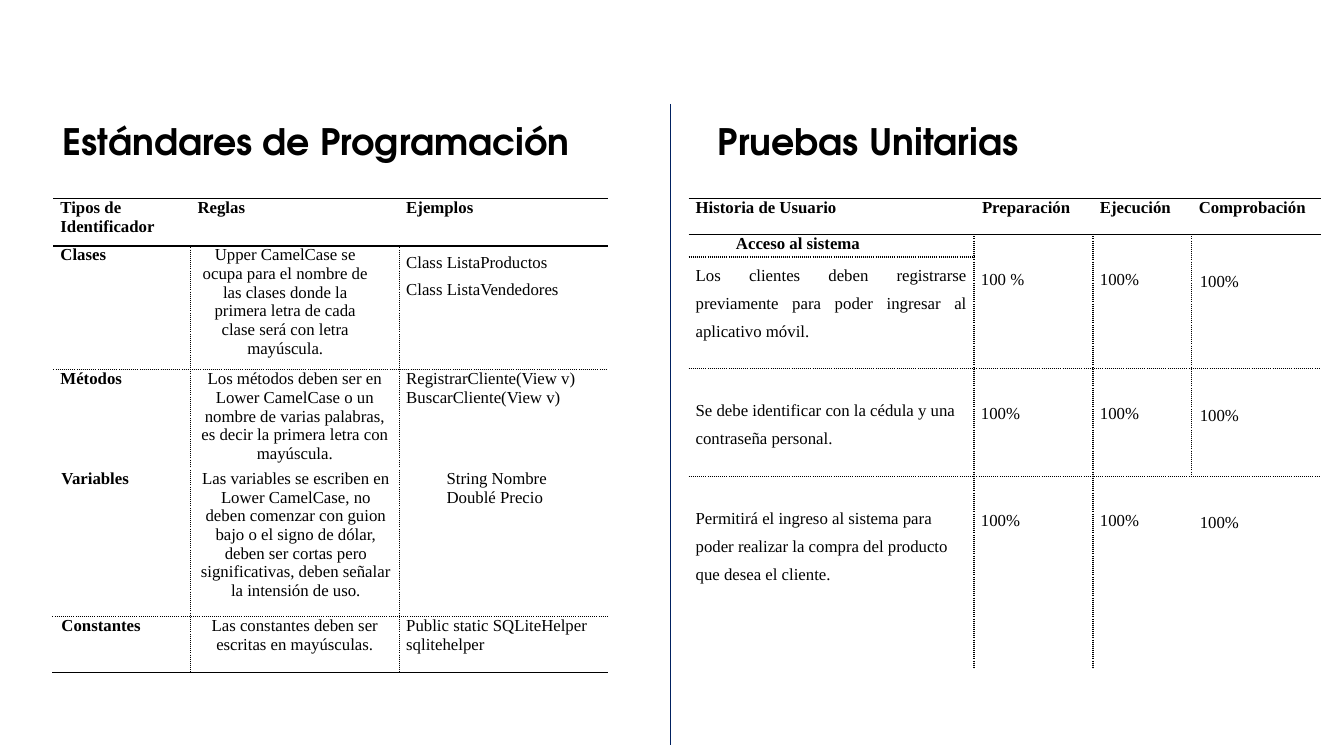
from lxml import etree
from pptx import Presentation
from pptx.dml.color import RGBColor
from pptx.enum.shapes import MSO_CONNECTOR
from pptx.enum.text import PP_ALIGN
from pptx.oxml.ns import qn
from pptx.util import Pt

PX = 9144  # 100 px to the inch
CENTER, JUSTIFY = PP_ALIGN.CENTER, PP_ALIGN.JUSTIFY
STRAIGHT = MSO_CONNECTOR.STRAIGHT
COLORS = {"text": "000000", "border": "000000", "divider": "002060"}
TITLE_FONT, TABLE_FONT = "TeX Gyre Adventor", "Times New Roman"


def style_runs(para, font, size, bold):
    for span in para.runs:
        span.font.name = font
        span.font.size = Pt(size)
        span.font.bold = bold
        span.font.color.rgb = RGBColor.from_string(COLORS["text"])


def add_border(cell, side, dash):
    """Draw one cell side (L, R, T, B) with a preset dash, or none."""
    properties = cell._tc.get_or_add_tcPr()
    line = etree.SubElement(properties, qn(f"a:ln{side}"), w=str(Pt(1)))
    if dash is None:
        etree.SubElement(line, qn("a:noFill"))
        return
    fill = etree.SubElement(line, qn("a:solidFill"))
    etree.SubElement(fill, qn("a:srgbClr"), val=COLORS["border"])
    etree.SubElement(line, qn("a:prstDash"), val=dash)


deck = Presentation()
deck.slide_width, deck.slide_height = 1333 * PX, 750 * PX
slide = deck.slides.add_slide(deck.slide_layouts[6])

BOLD = {"bold": True}
LABEL = {"bold": True, "left": 9}
STORY = {"top": 23, "spacing": 1.5}
RESULT = {"top": 35}
LAST_RESULT = {"top": 37, "left": 8}

standards = [
    [("Tipos de Identificador", BOLD), ("Reglas", BOLD), ("Ejemplos", BOLD)],
    [("Clases", BOLD),
     ("Upper CamelCase se ocupa para el nombre de las clases donde la primera "
      "letra de cada clase será con letra mayúscula.",
      {"align": CENTER, "left": 11, "right": 30}),
     ("Class ListaProductos\nClass ListaVendedores", {"spacing": 1.42})],
    [("Métodos", BOLD),
     ("Los métodos deben ser en Lower CamelCase o un nombre de varias palabras, "
      "es decir la primera letra con mayúscula.",
      {"align": CENTER, "left": 9, "right": 9}),
     ("RegistrarCliente(View v)\nBuscarCliente(View v)", {})],
]
more_standards = [
    [("Variables", LABEL),
     ("Las variables se escriben en Lower CamelCase, no deben comenzar con guion "
      "bajo o el signo de dólar, deben ser cortas pero significativas, deben "
      "señalar la intensión de uso.",
      {"align": CENTER, "left": 9, "right": 7}),
     ("String Nombre\nDoublé Precio", {"left": 47})],
    [("Constantes", LABEL),
     ("Las constantes deben ser escritas en mayúsculas.",
      {"align": CENTER, "left": 10, "right": 10}),
     ("Public static SQLiteHelper sqlitehelper", {})],
]
unit_tests = [
    [("Historia de Usuario", BOLD), ("Preparación", {"bold": True, "left": 8}),
     ("Ejecución", BOLD), ("Comprobación", BOLD)],
    [("Acceso al sistema", {"bold": True, "left": 47}),
     ("100 %", RESULT), ("100%", RESULT), ("100%", LAST_RESULT)],
    [("Los clientes deben registrarse previamente para poder ingresar al "
      "aplicativo móvil.", {"align": JUSTIFY, "right": 7, "spacing": 1.5})],
    [("Se debe identificar con la cédula y una contraseña personal.", STORY),
     ("100%", RESULT), ("100%", RESULT), ("100%", LAST_RESULT)],
    [("Permitirá el ingreso al sistema para poder realizar la compra del producto "
      "que desea el cliente.", STORY),
     ("100%", RESULT), ("100%", RESULT), ("100%", LAST_RESULT)],
]

# left, top, column widths, row heights, rows, dash of each horizontal rule
tables = [
    (53, 197, [136, 207, 207], [47, 123, 96], standards,
     ["solid", "solid", "sysDot", None]),
    (52, 466, [137, 207, 207], [146, 55], more_standards,
     [None, "sysDot", "solid"]),
    (683, 197, [283, 118, 98, 128], [36, 22, 111, 107, 190], unit_tests,
     ["solid", "solid", "sysDot", "sysDot", "sysDot", None]),
]

for left, top, widths, heights, rows, rules in tables:
    frame = slide.shapes.add_table(len(heights), len(widths), left * PX, top * PX,
                                   sum(widths) * PX, sum(heights) * PX)
    table = frame.table
    table.first_row = table.horz_banding = False
    for column, width in zip(table.columns, widths):
        column.width = width * PX
    for row, height in zip(table.rows, heights):
        row.height = height * PX
    if rows is unit_tests:
        for c in range(1, 4):
            table.cell(1, c).merge(table.cell(2, c))

    for r in range(len(heights)):
        for c in range(len(widths)):
            cell = table.cell(r, c)
            text, options = rows[r][c] if c < len(rows[r]) else ("", {})
            cell.margin_left = options.get("left", 7) * PX
            cell.margin_right = options.get("right", 0) * PX
            cell.margin_top = options.get("top", 0) * PX
            cell.margin_bottom = 0
            if text:
                cell.text_frame.text = text
            for para in cell.text_frame.paragraphs:
                para.alignment = options.get("align")
                para.line_spacing = options.get("spacing")
                style_runs(para, TABLE_FONT, 12, options.get("bold", False))

            is_header = r == 0 and rows is not more_standards
            sides = [None if is_header or edge in (0, len(widths)) else "sysDot"
                     for edge in (c, c + 1)]
            if rows is unit_tests and r == 4:  # last two columns stay open
                sides = [None if edge == 3 else dash
                         for edge, dash in zip((c, c + 1), sides)]
            upper = None if cell.is_spanned else rules[r]
            lower = rules[r + cell.span_height] if cell.is_merge_origin else rules[r + 1]
            for side, dash in zip("LRTB", [*sides, upper, lower]):
                add_border(cell, side, dash)
            cell.fill.background()

for title, left, width in [("Estándares de Programación", 52, 631),
                           ("Pruebas Unitarias", 702, 530)]:
    box = slide.shapes.add_textbox(left * PX, 118 * PX, width * PX, 45 * PX)
    box.text_frame.word_wrap = True
    para = box.text_frame.paragraphs[0]
    para.text = title
    para.line_spacing = 0.9
    style_runs(para, TITLE_FONT, 26, True)

divider = slide.shapes.add_connector(STRAIGHT, 665 * PX, 103 * PX, 665 * PX, 739 * PX)
divider.line.color.rgb = RGBColor.from_string(COLORS["divider"])
divider.line.width = Pt(0.5)
etree.SubElement(divider._element.spPr, qn("a:effectLst"))

deck.save("out.pptx")
